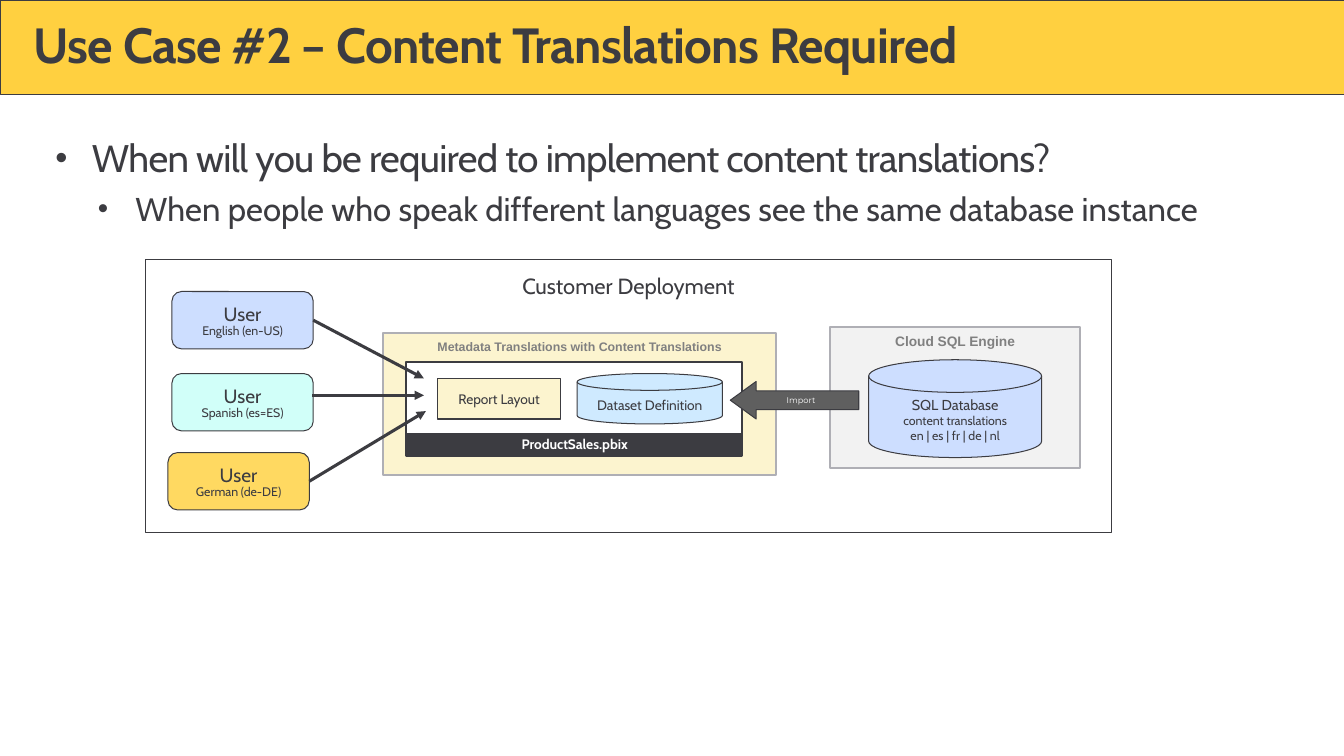
from lxml import etree
from pptx import Presentation
from pptx.dml.color import RGBColor
from pptx.enum import shapes, text
from pptx.oxml import ns
from pptx.util import Inches, Pt

COLORS = {
    "ink": "3C3C41", "white": "FFFFFF", "banner": "FFD040", "border": "AFAFB5",
    "caption": "808080", "server": "F2F2F2", "cream": "FCF4CF", "sky": "CFEAFF",
    "blue": "CDDEFF", "mint": "D1FFF9", "gold": "FFD961", "import": "5F5F5F",
}
RGB = {name: RGBColor.from_string(value) for name, value in COLORS.items()}
PRESET = shapes.MSO_SHAPE
TOP, MIDDLE = text.MSO_ANCHOR.TOP, text.MSO_ANCHOR.MIDDLE
LEFT, CENTER = text.PP_ALIGN.LEFT, text.PP_ALIGN.CENTER
NO_INSETS = (0, 0, 0, 0)
CAPTION_INSETS = (0.1, 0.06, 0.1, 0.05)
DISK_INSETS = (0.1, 0.1, 0.1, 0.05)

presentation = Presentation()
presentation.slide_width, presentation.slide_height = Inches(13.6), Inches(7.65)
slide = presentation.slides.add_slide(presentation.slide_layouts[6])


def write(frame, lines, anchor=MIDDLE, insets=(0.1, 0.05, 0.1, 0.05), align=CENTER):
    """Fill a frame with lines of (wording, size, other format values)."""
    frame.word_wrap = True
    frame.vertical_anchor = anchor
    for side, inset in zip(("left", "top", "right", "bottom"), insets):
        setattr(frame, f"margin_{side}", Inches(inset))
    for number, (wording, size, changes) in enumerate(lines):
        paragraph = frame.add_paragraph() if number else frame.paragraphs[0]
        paragraph.alignment = align
        paragraph.line_spacing = changes.get("spacing", 1.0)
        run = paragraph.add_run()
        run.text = wording
        looks = {"size": Pt(size), "name": changes.get("font", "Cabin"),
                 "bold": changes.get("bold", False)}
        for attribute, value in looks.items():
            setattr(run.font, attribute, value)
        run.font.color.rgb = RGB[changes.get("color", "ink")]
        if "tracking" in changes:
            run._r.get_or_add_rPr().set("spc", str(changes["tracking"]))


def draw(preset, place, fill, line="ink", width=0.75, lines=(), **layout):
    shape = slide.shapes.add_shape(preset, *map(Inches, place))
    shape.shadow.inherit = False
    shape.fill.solid()
    shape.fill.fore_color.rgb = RGB[fill]
    shape.line.color.rgb = RGB[line]
    shape.line.width = Pt(width)
    write(shape.text_frame, lines, **layout)
    return shape


# Heading and bullets
draw(PRESET.RECTANGLE, (0, 0, 13.6, 0.96), "banner", width=0.5)
title = slide.shapes.add_textbox(*map(Inches, (0.34, 0.21, 12.91, 0.55)))
write(title.text_frame, [("Use Case #2 – Content Translations Required", 36,
                          {"bold": True, "spacing": 0.9, "tracking": -50})],
      insets=NO_INSETS, align=LEFT)

body = slide.shapes.add_textbox(*map(Inches, (0.56, 1.36, 12.69, 1.2)))
write(body.text_frame, [
    ("When will you be required to implement content translations?", 28, {"tracking": -50}),
    ("When people who speak different languages see the same database instance", 24, {}),
], anchor=TOP, insets=NO_INSETS, align=LEFT)
for level, (paragraph, margin, hanging) in enumerate(
        zip(body.text_frame.paragraphs, (0.37, 0.81), (0.37, 0.38))):
    paragraph.level = level
    paragraph.space_after = Pt(6)
    properties = paragraph._p.get_or_add_pPr()
    properties.set("marL", str(Inches(margin)))
    properties.set("indent", str(-Inches(hanging)))
    for tag, attribute, value in (("a:buSzPct", "val", "90000"),
                                  ("a:buFont", "typeface", "Arial"),
                                  ("a:buChar", "char", "•")):
        etree.SubElement(properties, ns.qn(tag)).set(attribute, value)

# Deployment frame, server and report file
draw(PRESET.RECTANGLE, (1.47, 2.63, 9.78, 2.76), "white",
     lines=[("Customer Deployment", 16, {"spacing": 0.9})],
     anchor=TOP, insets=(0.2, 0.16, 0.2, 0.16))
for place, fill, caption, size in (
    ((8.4, 3.31, 2.53, 1.43), "server", "Cloud SQL Engine", 10),
    ((3.88, 3.37, 3.97, 1.44), "cream", "Metadata Translations with Content Translations", 9),
):
    draw(PRESET.RECTANGLE, place, fill, "border", 1.5,
         [(caption, size, {"font": "Arial", "color": "caption", "bold": True})],
         anchor=TOP, insets=CAPTION_INSETS)
draw(PRESET.RECTANGLE, (4.11, 3.66, 3.4, 0.95), "white", width=1.5)
draw(PRESET.RECTANGLE, (4.12, 4.39, 3.39, 0.21), "ink", width=1,
     lines=[("ProductSales.pbix", 10, {"color": "white", "bold": True})])
draw(PRESET.RECTANGLE, (4.43, 3.83, 1.24, 0.41), "cream", width=0.85,
     lines=[("Report Layout", 10, {})])
draw(PRESET.FLOWCHART_MAGNETIC_DISK, (5.84, 3.78, 1.47, 0.51), "sky",
     lines=[("Dataset Definition", 10, {})], insets=DISK_INSETS)
draw(PRESET.FLOWCHART_MAGNETIC_DISK, (8.79, 3.64, 1.75, 0.99), "blue",
     lines=[("SQL Database", 10.5, {}), ("content translations", 9, {}),
            ("en | es | fr | de | nl", 9, {})], insets=DISK_INSETS)

import_arrow = draw(PRESET.LEFT_ARROW, (7.39, 3.86, 1.3, 0.38), "import",
                    lines=[("Import", 6, {"font": "Montserrat", "color": "white",
                                          "spacing": 0.9})], insets=(0, 0.02, 0, 0))
import_arrow.adjustments[0], import_arrow.adjustments[1] = 0.5, 0.69

# Users and their arrows into the report
for language, fill, left, top, start, end, joined in (
    ("English (en-US)", "blue", 1.74, 2.95, (3.17, 3.24), (4.29, 3.83), True),
    ("Spanish (es=ES)", "mint", 1.74, 3.78, (3.16, 4), (4.29, 4), False),
    ("German (de-DE)", "gold", 1.7, 4.58, (3.13, 4.87), (4.31, 4.16), True),
):
    user = draw(PRESET.ROUNDED_RECTANGLE, (left, top, 1.43, 0.58), fill,
                lines=[("User", 14, {}), (language, 9, {"spacing": 0.9})],
                insets=NO_INSETS)
    arrow = slide.shapes.add_connector(shapes.MSO_CONNECTOR.STRAIGHT,
                                       *map(Inches, start + end))
    if joined:
        arrow.begin_connect(user, 3)
    arrow.line.color.rgb = RGB["ink"]
    arrow.line.width = Pt(2.25)
    etree.SubElement(arrow.line._get_or_add_ln(), ns.qn("a:tailEnd")).set("type", "triangle")
    etree.SubElement(arrow._element.spPr, ns.qn("a:effectLst"))

presentation.save("out.pptx")
